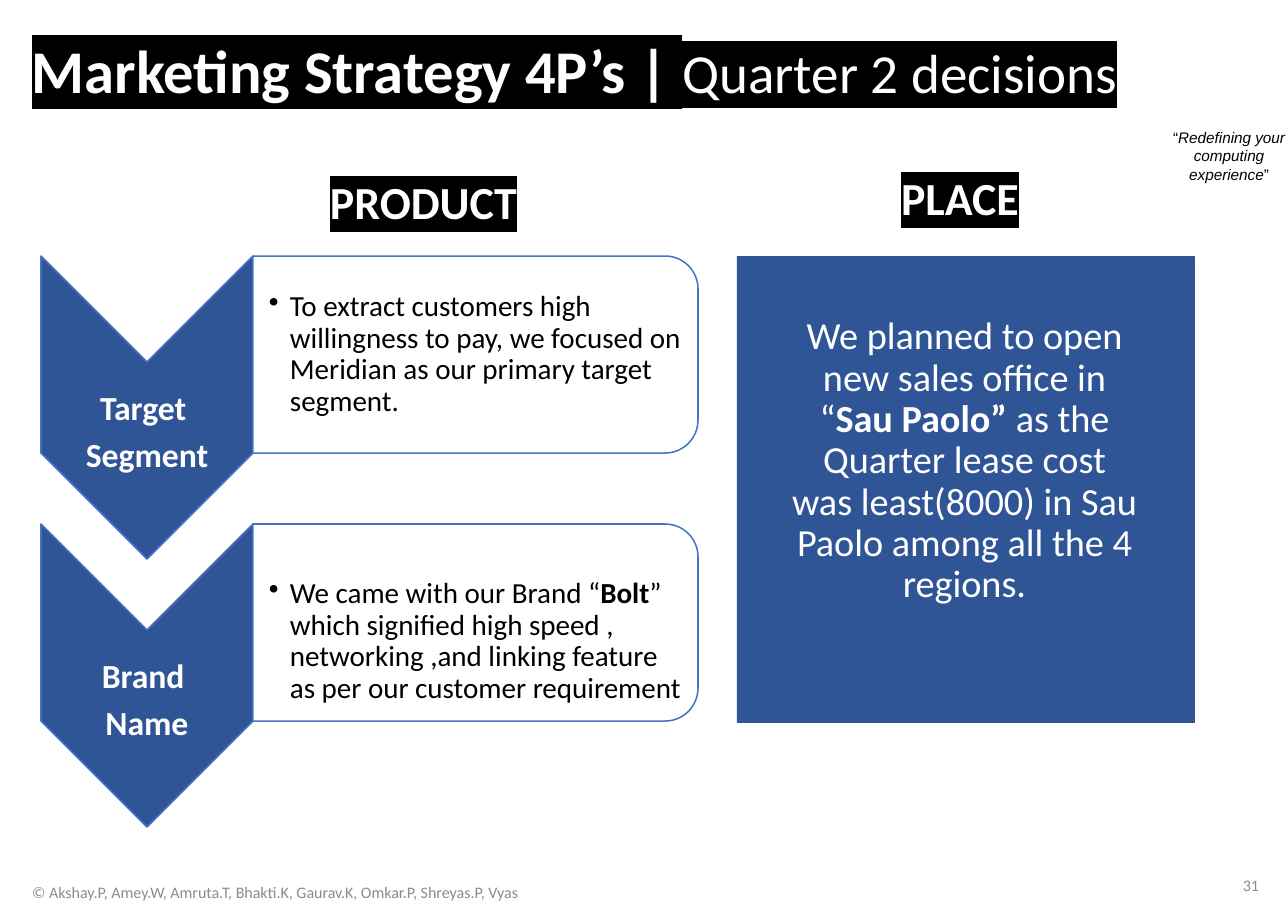
from lxml import etree
from pptx import Presentation
from pptx.dml.color import RGBColor
from pptx.enum.shapes import MSO_SHAPE
from pptx.enum.text import MSO_ANCHOR, PP_ALIGN
from pptx.oxml.ns import qn
from pptx.util import Emu, Pt

LEFT, CENTER, RIGHT = PP_ALIGN.LEFT, PP_ALIGN.CENTER, PP_ALIGN.RIGHT
TOP, MIDDLE = MSO_ANCHOR.TOP, MSO_ANCHOR.MIDDLE
CHEVRON, RECTANGLE = MSO_SHAPE.CHEVRON, MSO_SHAPE.RECTANGLE
ROUNDED_SIDE = MSO_SHAPE.ROUND_2_SAME_RECTANGLE

COLORS = {"black": "000000", "white": "FFFFFF", "navy": "2F5597",
          "outline": "4472C4", "grey": "8C8C8C"}
SLIDE_SIZE = (1288, 911)

TAGLINE = [("“", {}), ("Redefining your computing experience", {"italic": True}), ("”", {})]
TITLE = [("Marketing Strategy 4P’s | ", {"bold": True, "size": Pt(39.6)}),
         ("Quarter 2 decisions", {"size": Pt(36)})]
CREDIT = "© Akshay.P, Amey.W, Amruta.T, Bhakti.K, Gaurav.K, Omkar.P, Shreyas.P, Vyas"
PAGE_NUMBER = "31"
HEADINGS = [("PRODUCT", (223, 168, 401, 67), CENTER),
            ("PLACE", (890, 164, 285, 67), LEFT)]
PRODUCT_ROWS = [
    (["Target ", "Segment"],
     [("To extract customers high willingness to pay, we focused on "
       "Meridian as our primary target segment.", {})], 0),
    (["Brand ", "Name"],
     [("We came with our Brand “", {}), ("Bolt", {"bold": True}),
      ("” which signified high speed , networking ,and linking feature "
       "as per our customer requirement", {})], 19),
]
PLACE_TEXT = [("We planned to open new sales office in “", {}),
              ("Sau Paolo”", {"bold": True}),
              (" as the Quarter lease cost was least(8000) in Sau Paolo "
               "among all the 4 regions.", {})]

ROW_TOP, ROW_PITCH = 256, 268
CHEVRON_LEFT, CHEVRON_WIDTH, CHEVRON_HEIGHT = 41, 212, 303
CARD_LEFT, CARD_WIDTH, CARD_HEIGHT = 253, 445, 197
LABEL_DROP = 135
BULLET_INDENT = 21


def px(value):
    return Emu(round(value * 914400 / 110.2))


def rgb(name):
    return RGBColor.from_string(COLORS[name])


def add_panel(kind, box, fill, line, line_width, turned=False):
    left, top, width, height = box
    if turned:
        left, top = left + (width - height) / 2, top + (height - width) / 2
        width, height = height, width
    panel = slide.shapes.add_shape(kind, px(left), px(top), px(width), px(height))
    panel.rotation = 90 if turned else 0
    panel.shadow.inherit = False
    panel.fill.solid()
    panel.fill.fore_color.rgb = rgb(fill)
    panel.line.color.rgb = rgb(line)
    panel.line.width = Pt(line_width)


def add_text(box, paragraphs, size, color="white", align=CENTER, anchor=TOP, font="Calibri",
             bold=None, spacing=1.0, after=0, insets=(11, 6, 11, 6),
             bullet=False, highlight=False):
    frame = slide.shapes.add_textbox(*map(px, box)).text_frame
    frame.word_wrap = True
    frame.vertical_anchor = anchor
    (frame.margin_left, frame.margin_top,
     frame.margin_right, frame.margin_bottom) = map(px, insets)
    for index, runs in enumerate(paragraphs):
        paragraph = frame.paragraphs[0] if index == 0 else frame.add_paragraph()
        paragraph.alignment = align
        paragraph.line_spacing = spacing
        paragraph.space_after = Pt(after)
        if bullet:
            properties = paragraph._p.get_or_add_pPr()
            properties.set("marL", str(px(BULLET_INDENT)))
            properties.set("indent", str(-px(BULLET_INDENT)))
            etree.SubElement(properties, qn("a:buChar")).set("char", "•")
        paragraph.font.name = font
        paragraph.font.size = Pt(size)
        paragraph.font.bold = bold
        paragraph.font.color.rgb = rgb(color)
        for text, style in [(runs, {})] if isinstance(runs, str) else runs:
            run = paragraph.add_run()
            run.text = text
            for attribute, value in style.items():
                setattr(run.font, attribute, value)
            if highlight:
                mark = etree.SubElement(run._r.get_or_add_rPr(), qn("a:highlight"))
                etree.SubElement(mark, qn("a:srgbClr")).set("val", COLORS["black"])


prs = Presentation()
prs.slide_width, prs.slide_height = map(px, SLIDE_SIZE)
slide = prs.slides.add_slide(prs.slide_layouts[6])

add_text((1154, 122, 150, 67), [TAGLINE], 10, "black", font="Arial")
add_text((21, 2, 1174, 143), [TITLE], 36, align=LEFT, anchor=MIDDLE,
         spacing=0.9, highlight=True)
add_text((0, 872, 551, 40), [CREDIT], 10.5, "grey", anchor=MIDDLE)

for row, (label, detail, detail_drop) in enumerate(PRODUCT_ROWS):
    top = ROW_TOP + row * ROW_PITCH
    add_panel(CHEVRON, (CHEVRON_LEFT, top, CHEVRON_WIDTH, CHEVRON_HEIGHT),
              "navy", "outline", 1, turned=True)
    add_text((CHEVRON_LEFT, top + LABEL_DROP, CHEVRON_WIDTH, 90), label, 22,
             bold=True, spacing=0.9, after=7, insets=(2, 0, 2, 0))
    add_panel(ROUNDED_SIDE, (CARD_LEFT, top, CARD_WIDTH, CARD_HEIGHT),
              "white", "outline", 1, turned=True)
    add_text((CARD_LEFT, top + detail_drop, 435, CARD_HEIGHT), [detail], 19, "black",
             align=LEFT, anchor=MIDDLE, spacing=0.9, insets=(16, 1, 1, 1), bullet=True)

add_panel(RECTANGLE, (737, 256, 457, 466), "navy", "navy", 0.5)
add_text((781, 274, 367, 375), [PLACE_TEXT], 25, anchor=MIDDLE, spacing=0.9)

for heading, box, align in HEADINGS:
    add_text(box, [heading], 30, align=align, bold=True, highlight=True)

add_text((980, 861, 290, 48), [PAGE_NUMBER], 10.5, "grey", align=RIGHT, anchor=MIDDLE)

prs.save("out.pptx")
